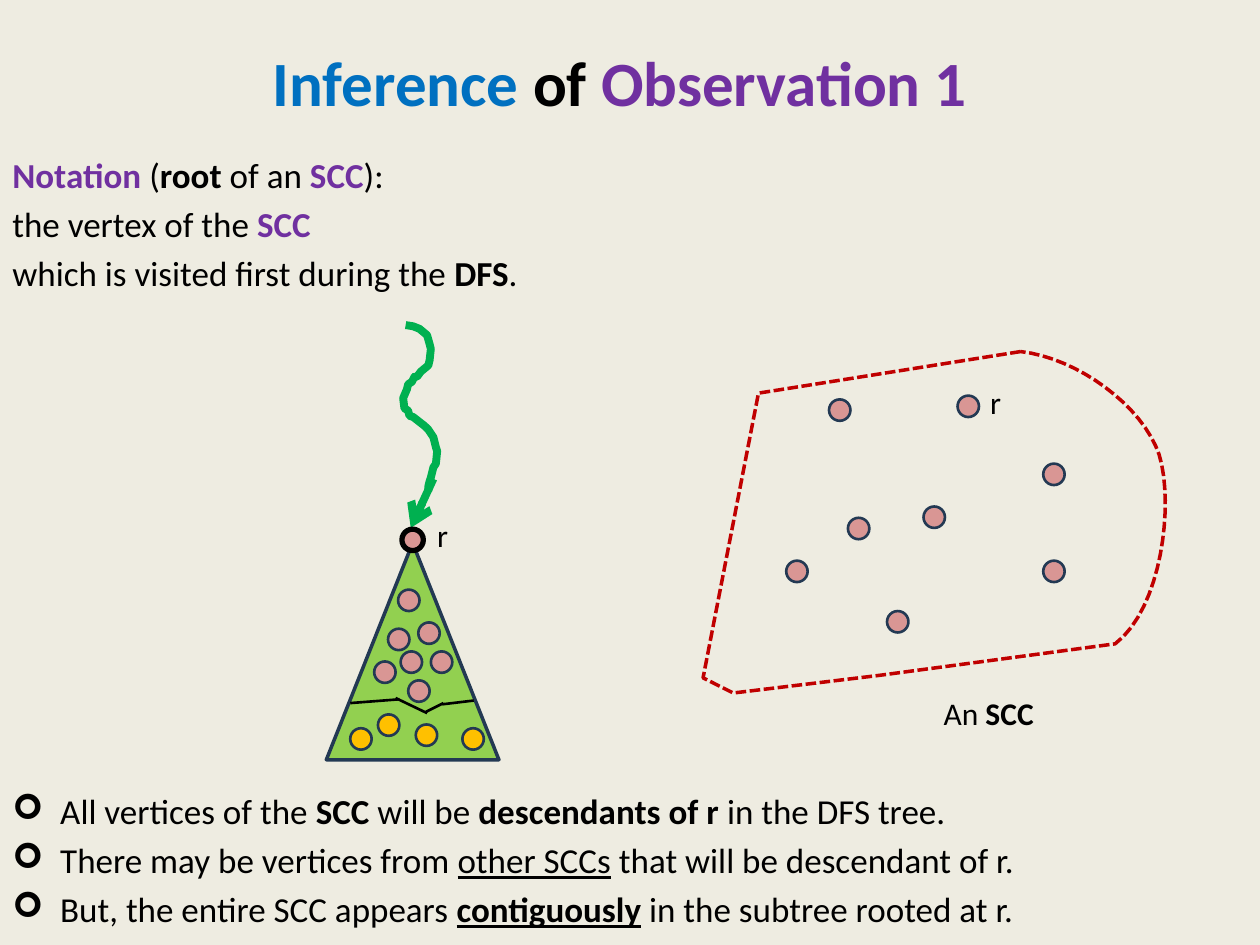
"""Build the slide on the root of an SCC and its DFS subtree."""
from lxml.etree import SubElement
from pptx import Presentation
from pptx.dml.color import RGBColor
from pptx.enum.dml import MSO_LINE
from pptx.enum.shapes import MSO_CONNECTOR, MSO_SHAPE
from pptx.enum.text import MSO_ANCHOR, PP_ALIGN
from pptx.oxml.ns import qn
from pptx.util import Pt

PX = 9144
COLORS = {"bg": "EEECE1", "black": "000000", "blue": "0070C0", "purple": "7030A0",
          "red": "C00000", "pink": "D99694", "navy": "233953", "leaf": "92D050",
          "green": "00B050", "gold": "FFC000"}
STYLES = {"plain": ({"bold": False}, "black"),
          "bold": ({"bold": True}, "black"),
          "under": ({"underline": True}, "black"),
          "strong": ({"bold": True, "underline": True}, "black"),
          "blue": ({"bold": True}, "blue"),
          "purple": ({"bold": True}, "purple")}

TITLE = [[("Inference ", "blue"), ("of ", "bold"), ("Observation 1", "purple")]]
NOTATION = [
    [("Notation ", "purple"), ("(", "plain"), ("root", "bold"), (" of an ", "plain"),
     ("SCC", "purple"), ("):", "plain")],
    [("the vertex of the ", "plain"), ("SCC", "purple")],
    [("which is visited first during the ", "plain"), ("DFS", "bold"), (".", "plain")],
]
INFERENCES = [
    [("All vertices of the ", "plain"), ("SCC", "bold"), (" will be ", "plain"),
     ("descendants of r ", "bold"), ("in the DFS tree.", "plain")],
    [("There may be vertices from ", "plain"), ("other SCCs", "under"),
     (" that will be descendant of r.", "plain")],
    [("But, the entire SCC appears ", "plain"), ("contiguously", "strong"),
     (" in the subtree rooted at r.", "plain")],
]
LABELS = [((739, 546, 92, 40), [[("An ", "plain"), ("SCC", "bold")]]),
          ((776, 299, 29, 40), [[("r", "plain")]]),
          ((337, 405, 29, 40), [[("r", "plain")]])]

DOT = 17
ROOT = (319, 420)
SCC_DOTS = [(658, 317), (624, 445), (760, 314), (828, 368), (733, 402), (828, 445),
            (704, 485), (673, 411)]
TREE_DOTS = [(316, 468), (342, 517), (324, 540), (308, 499), (332, 494), (297, 525),
             (318, 517)]
OTHER_DOTS = [(330, 575), (300, 567), (367, 578), (278, 578)]
REGION_EDGES = [(810, 279), (602, 312), (558, 538), (582, 550), (698, 536), (885, 511)]
REGION_CURVES = [((885, 511), (922, 483), (932, 400), (920, 361)),
                 ((920, 361), (907, 322), (855, 284), (810, 279))]
PATH = [(322, 258), (328, 259), (333, 261), (339, 266), (341, 273), (342, 277),
        (341, 286), (340, 290), (334, 295), (331, 299), (329, 299), (327, 303),
        (324, 305), (323, 309), (320, 316), (321, 324), (324, 326), (325, 330),
        (328, 331), (337, 338), (340, 341), (344, 347), (346, 355), (347, 358),
        (346, 368), (344, 371), (342, 379), (341, 382), (340, 386), (340, 390)]
PATH_TIP = ((344, 380), (326, 419))
CUT = [((278, 558), (317, 555)), ((314, 554), (339, 566)),
       ((352, 558), (338, 565)), ((376, 556), (351, 559))]


def rgb(name):
    return RGBColor.from_string(COLORS[name])


def emu(values):
    return [round(v * PX) for v in values]


def add_text(s, box, paras, size, align=PP_ALIGN.LEFT, anchor=MSO_ANCHOR.TOP,
             wrap=True, bullet=None):
    tf = s.shapes.add_textbox(*emu(box)).text_frame
    tf.word_wrap, tf.vertical_anchor = wrap, anchor
    for i, runs in enumerate(paras):
        p = tf.add_paragraph() if i else tf.paragraphs[0]
        p.alignment = align
        if i:
            p.space_before = Pt(size / 5)
        if bullet:
            pPr = p._p.get_or_add_pPr()
            pPr.set("marL", str(38 * PX))
            pPr.set("indent", str(-38 * PX))
            SubElement(pPr, qn("a:buFont"), typeface="Wingdings")
            SubElement(pPr, qn("a:buChar"), char=bullet)
        for text, style in runs:
            r = p.add_run()
            r.text = text
            formats, color = STYLES[style]
            for key, value in {"name": "Calibri", "size": Pt(size), **formats}.items():
                setattr(r.font, key, value)
            r.font.color.rgb = rgb(color)


def paint(sp, line, width, fill=None):
    sp.shadow.inherit = False
    sp.line.color.rgb = rgb(line)
    sp.line.width = Pt(width)
    if fill:
        sp.fill.solid()
        sp.fill.fore_color.rgb = rgb(fill)
    else:
        sp.fill.background()
    return sp


def add_shape(s, kind, box, fill, line, width):
    return paint(s.shapes.add_shape(kind, *emu(box)), line, width, fill)


def add_outline(s, points, line, width, close=False):
    start, *rest = [emu(pt) for pt in points]
    fb = s.shapes.build_freeform(*start)
    fb.add_line_segments(rest, close=close)
    return paint(fb.convert_to_shape(), line, width)


def add_line(s, ends, line, width):
    c = s.shapes.add_connector(MSO_CONNECTOR.STRAIGHT, *emu(ends[0] + ends[1]))
    c.line.color.rgb = rgb(line)
    c.line.width = Pt(width)
    SubElement(c._element.spPr, qn("a:effectLst"))
    return c


def bezier(a, b, c, d, steps=16):
    for t in (i / steps for i in range(1, steps + 1)):
        u = 1 - t
        yield tuple(u**3 * w + 3 * u * u * t * x + 3 * u * t * t * y + t**3 * z
                    for w, x, y, z in zip(a, b, c, d))


def main():
    prs = Presentation()
    prs.slide_width, prs.slide_height = emu((1000, 750))
    s = prs.slides.add_slide(prs.slide_layouts[6])
    s.background.fill.solid()
    s.background.fill.fore_color.rgb = rgb("bg")

    add_text(s, (42, 2, 900, 125), TITLE, 36, PP_ALIGN.CENTER, MSO_ANCHOR.MIDDLE)
    add_text(s, (0, 117, 1000, 126), NOTATION, 20)
    add_text(s, (0, 622, 1000, 126), INFERENCES, 20, bullet="➢")

    curves = [pt for curve in REGION_CURVES for pt in bezier(*curve)]
    region = add_outline(s, REGION_EDGES + curves[:-1], "red", 2, close=True)
    region.line.dash_style = MSO_LINE.SQUARE_DOT

    add_shape(s, MSO_SHAPE.FLOWCHART_EXTRACT, (259, 431, 137, 172), "leaf", "navy", 2)
    add_outline(s, PATH, "green", 4.5)
    tip = add_line(s, PATH_TIP, "green", 4.5)
    SubElement(tip.line._get_or_add_ln(), qn("a:tailEnd"), type="arrow")

    for dots, fill, line, width in (([ROOT], "pink", "black", 3),
                                    (SCC_DOTS + TREE_DOTS, "pink", "navy", 1.5),
                                    (OTHER_DOTS, "gold", "navy", 1.5)):
        for x, y in dots:
            add_shape(s, MSO_SHAPE.OVAL, (x, y, DOT, DOT), fill, line, width)
    for ends in CUT:
        add_line(s, ends, "black", 1.5)
    for box, paras in LABELS:
        add_text(s, box, paras, 18, wrap=False)

    prs.save("out.pptx")


if __name__ == "__main__":
    main()
